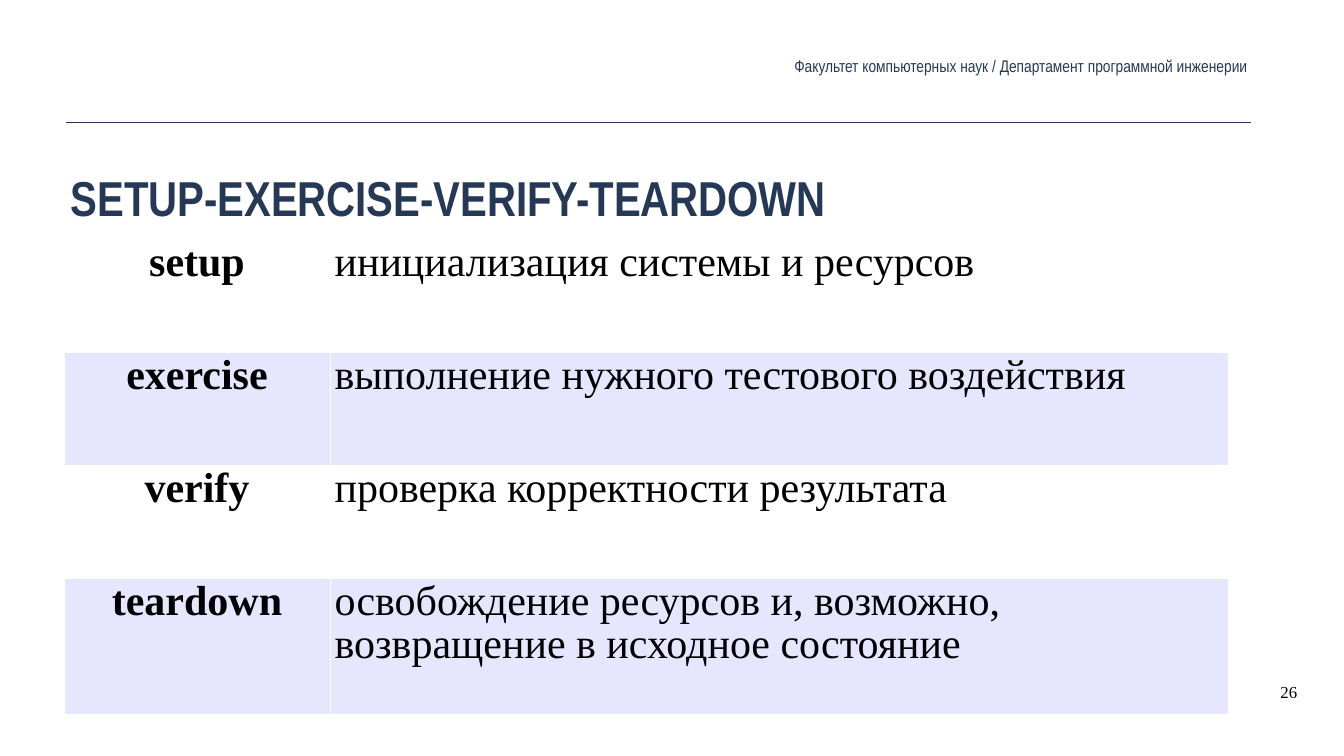
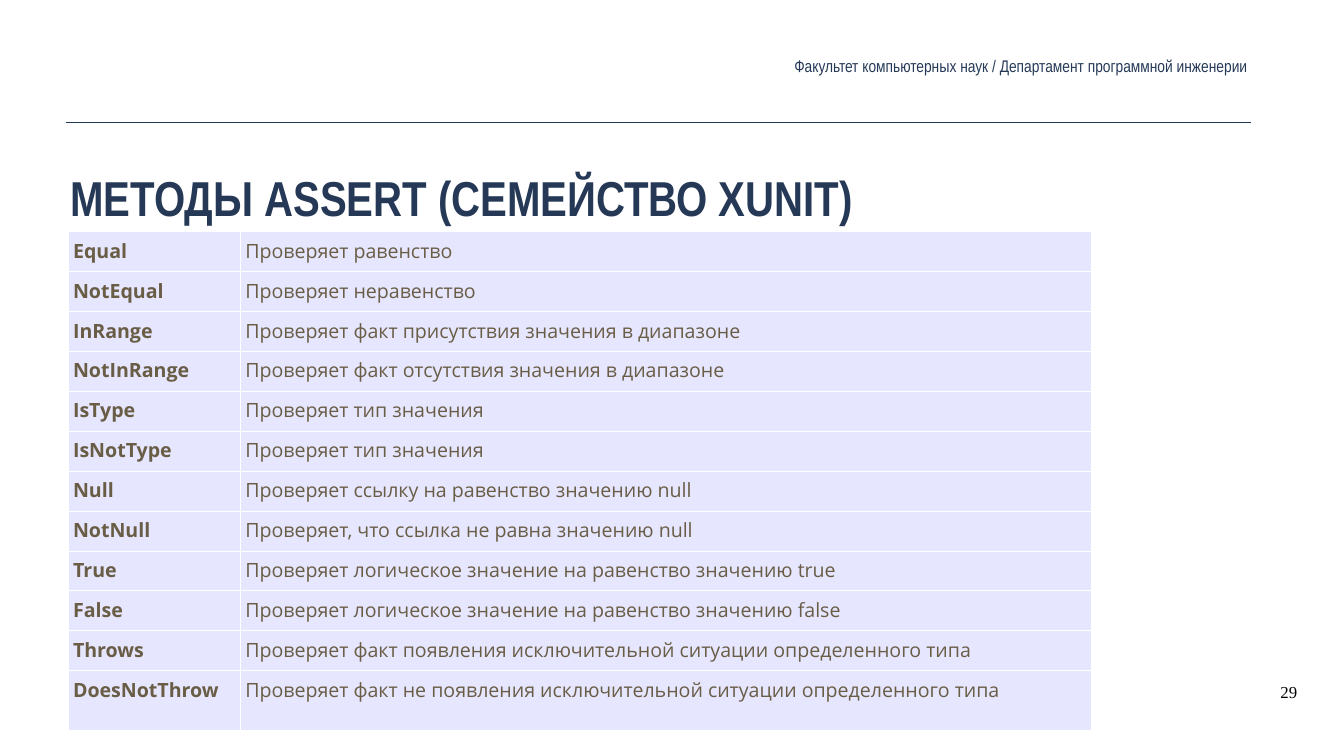
from lxml import etree
from pptx import Presentation, util as u
from pptx.dml.color import RGBColor
from pptx.enum import shapes, text
from pptx.oxml.ns import qn

# Shared look
NAVY, BLACK, BROWN = "253957", "000000", "695D46"
WHITE, LILAC = "FFFFFF", "E6E6FF"
NARROW, SERIF, SANS = "Arial Narrow", "Times New Roman", "Open Sans"
LEFT, MID, RIGHT = text.PP_ALIGN.LEFT, text.PP_ALIGN.CENTER, text.PP_ALIGN.RIGHT
HEAD = "Факультет компьютерных наук / Департамент программной инженерии"

deck = Presentation()
deck.slide_width, deck.slide_height = u.Inches(26.67), u.Inches(15)
# One percent of the slide's width and height
W, H = deck.slide_width / 100, deck.slide_height / 100


def paint(color, code):
    color.rgb = RGBColor.from_string(code)


def write(frame, words, size, font, code, bold=False, align=LEFT, pad=None):
    frame.word_wrap = True
    if pad is not None:
        frame.margin_left = frame.margin_right = u.Inches(pad[0])
        frame.margin_top = frame.margin_bottom = u.Inches(pad[1])
    para = frame.paragraphs[0]
    para.alignment = align
    run = para.add_run()
    run.text = words
    run.font.size, run.font.name, run.font.bold = u.Pt(size), font, bold
    paint(run.font.color, code)
    return para


# Content: each table holds its place, columns, rows and text style
steps = dict(
    title="SETUP-EXERCISE-VERIFY-TEARDOWN", page="26",
    left=4.8, top=31.67, cols=(19.72, 66.82), row=14.93, last=17.93,
    size=60, font=SERIF, ink=BLACK, gap=0.93, align=MID, fills=(WHITE, LILAC),
    rows=[
        ("setup", "инициализация системы и ресурсов"),
        ("exercise", "выполнение нужного тестового воздействия"),
        ("verify", "проверка корректности результата"),
        ("teardown", "освобождение ресурсов и, возможно, возвращение в исходное состояние"),
    ])
checks = dict(
    title="МЕТОДЫ ASSERT (СЕМЕЙСТВО XUNIT)", page="29",
    left=5.06, top=30.6, cols=(12.82, 63.29), row=5.28, last=7.87,
    size=28, font=SANS, ink=BROWN, gap=1.13, align=LEFT, fills=(LILAC, LILAC),
    rows=[
        ("Equal", "Проверяет равенство"),
        ("NotEqual", "Проверяет неравенство"),
        ("InRange", "Проверяет факт присутствия значения в диапазоне"),
        ("NotInRange", "Проверяет факт отсутствия значения в диапазоне"),
        ("IsType", "Проверяет тип значения"),
        ("IsNotType", "Проверяет тип значения"),
        ("Null", "Проверяет ссылку на равенство значению null"),
        ("NotNull", "Проверяет, что ссылка не равна значению null"),
        ("True", "Проверяет логическое значение на равенство значению true"),
        ("False", "Проверяет логическое значение на равенство значению false"),
        ("Throws", "Проверяет факт появления исключительной ситуации определенного типа"),
        ("DoesNotThrow", "Проверяет факт не появления исключительной ситуации определенного типа"),
    ])

for page in (steps, checks):
    slide = deck.slides.add_slide(deck.slide_layouts[5])
    paint_bg = slide.background.fill
    paint_bg.solid()
    paint(paint_bg.fore_color, WHITE)

    # Rule under the header
    rule = slide.shapes.add_connector(
        shapes.MSO_CONNECTOR.STRAIGHT,
        int(4.91 * W), int(16.13 * H), int(93.1 * W), int(16.13 * H))
    rule.line.width = u.Pt(1)
    paint(rule.line.color, NAVY)
    etree.SubElement(rule._element.spPr, qn("a:effectLst"))

    # Title
    title = slide.shapes.title
    title.left, title.top = int(4.95 * W), int(21.67 * H)
    title.width, title.height = int(87.85 * W), int(11.53 * H)
    title.text_frame.auto_size = text.MSO_AUTO_SIZE.NONE
    title.text_frame.vertical_anchor = text.MSO_ANCHOR.TOP
    write(title.text_frame, page["title"], 70, NARROW, NAVY, True, pad=(0.08, 0.08))

    # Header line
    head = slide.shapes.add_textbox(
        int(46.49 * W), int(6.87 * H), int(46.61 * W), int(3.73 * H)).text_frame
    head.auto_size = text.MSO_AUTO_SIZE.SHAPE_TO_FIT_TEXT
    head.vertical_anchor = text.MSO_ANCHOR.MIDDLE
    write(head, HEAD, 24, NARROW, NAVY, align=RIGHT, pad=(0.08, 0.08))

    # Table
    rows, cols = page["rows"], page["cols"]
    tall = [page["row"]] * (len(rows) - 1) + [page["last"]]
    grid = slide.shapes.add_table(
        len(rows), len(cols), int(page["left"] * W), int(page["top"] * H),
        int(sum(cols) * W), int(sum(tall) * H)).table
    grid.first_row = grid.horz_banding = False
    for col, wide in zip(grid.columns, cols):
        col.width = int(wide * W)
    for r, pair in enumerate(rows):
        grid.rows[r].height = int(tall[r] * H)
        for c, words in enumerate(pair):
            cell = grid.cell(r, c)
            cell.margin_left = cell.margin_right = u.Inches(0.1)
            cell.margin_top = cell.margin_bottom = u.Inches(0.05)
            cell.fill.solid()
            paint(cell.fill.fore_color, page["fills"][r % 2])
            para = write(cell.text_frame, words, page["size"], page["font"],
                         page["ink"], c == 0, LEFT if c else page["align"])
            para.line_spacing = page["gap"]
            # Thin white borders come before the fill
            props = cell._tc.get_or_add_tcPr()
            for i, side in enumerate(("lnL", "lnR", "lnT", "lnB")):
                edge = etree.Element(qn("a:" + side), w=str(u.Pt(0.06)))
                fill = etree.SubElement(edge, qn("a:solidFill"))
                etree.SubElement(fill, qn("a:srgbClr"), val=WHITE)
                props.insert(i, edge)

    # Page number
    foot = slide.shapes.add_textbox(
        int(94.9 * W), int(89.8 * H), int(14.06 * W), int(3.13 * H)).text_frame
    write(foot, page["page"], 24, SERIF, BLACK, pad=(0.1, 0.05))

deck.save("out.pptx")
